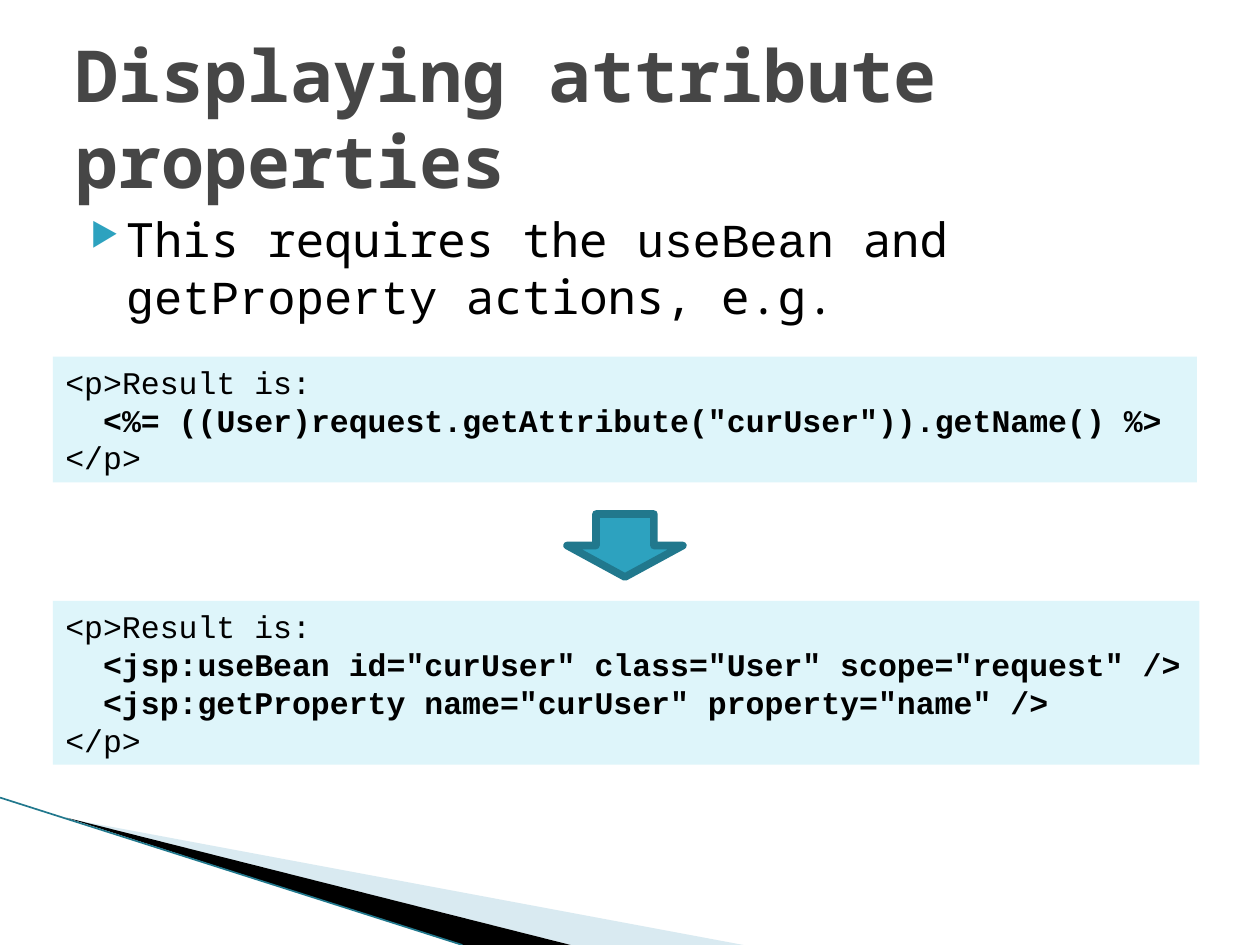
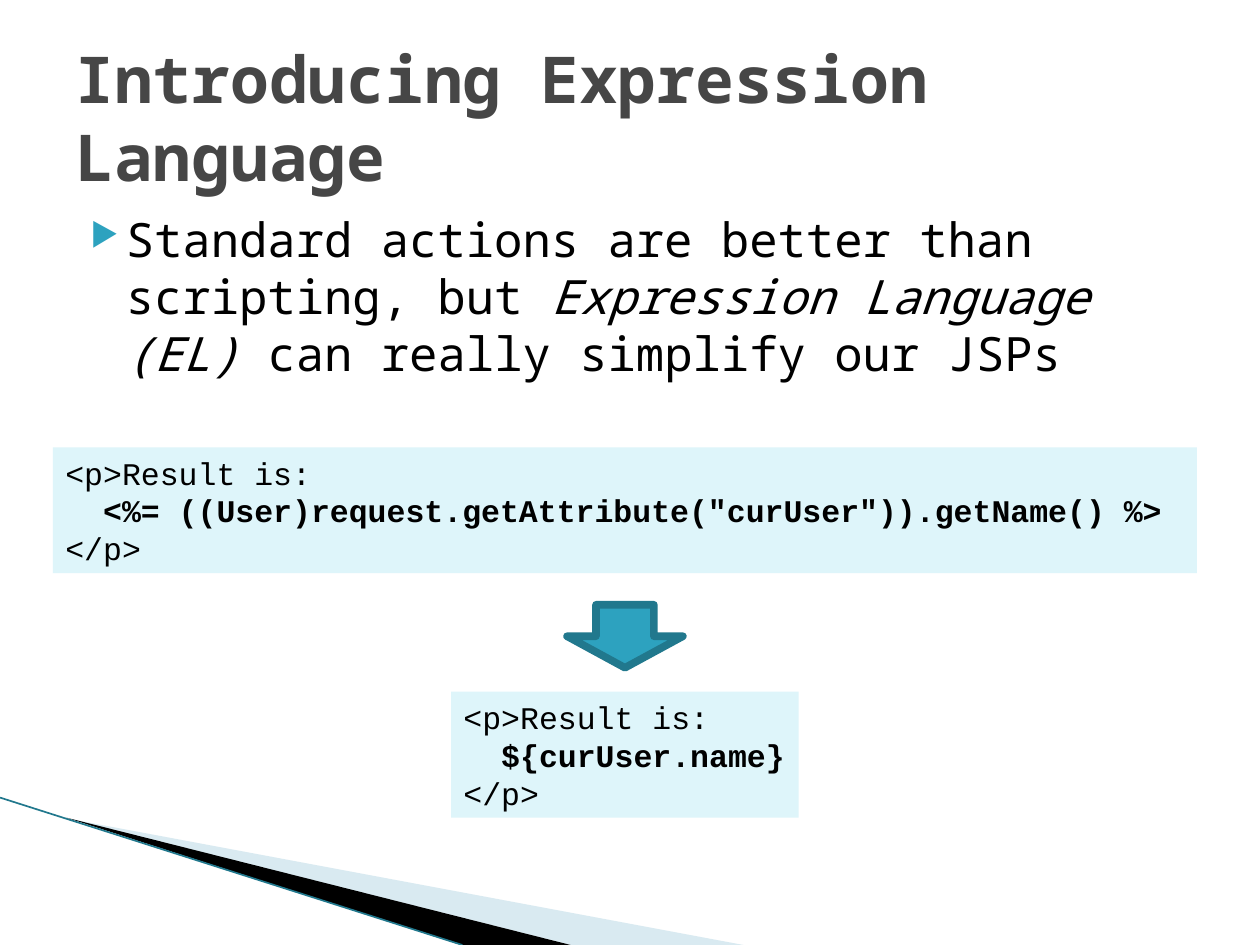
from dataclasses import dataclass

from lxml import etree
from pptx import Presentation
from pptx import util as u
from pptx.dml.color import RGBColor
from pptx.enum import shapes, text
from pptx.oxml import ns


@dataclass(frozen=True)
class Theme:
    """Colours, fonts and type sizes of the deck."""
    ink: str = "000000"
    title: str = "464646"
    accent: str = "2DA2BF"
    accent_dark: str = "21788D"
    panel: str = "DEF5FA"
    wedge: str = "A0CBDC"
    wedge_opacity: int = 40
    text_font: str = "Noto Sans Mono"
    code_font: str = "Courier New"
    body_size: float = 27
    code_size: float = 18


THEME = Theme()
CODE_LEFT = 0.42
CODE_LINE = 0.3
SCRIPTLET = [
    "<p>Result is:",
    '  <%= ((User)request.getAttribute("curUser")).getName() %>',
    "</p>",
]


def add_child(parent, tag, **attributes):
    """Append a drawing element to an XML parent."""
    return etree.SubElement(parent, ns.qn(tag), attributes)


def fill_solid(shape, colour):
    """Give a shape a plain fill without shadow or outline."""
    shape.shadow.inherit = False
    shape.fill.solid()
    shape.fill.fore_color.rgb = RGBColor.from_string(colour)
    shape.line.fill.background()


def set_font(font, name, size, colour, bold=False):
    """Set the main properties of a font."""
    font.name = name
    font.size = u.Pt(size)
    font.bold = bold
    font.color.rgb = RGBColor.from_string(colour)


def add_wedge(page, points, colour, opacity=100):
    """Draw a filled polygon through points given in inches."""
    corners = [(u.Inches(x), u.Inches(y)) for x, y in points]
    builder = page.shapes.build_freeform(*corners[0])
    builder.add_line_segments(corners[1:])
    wedge = builder.convert_to_shape()
    fill_solid(wedge, colour)
    if opacity < 100:
        tint = wedge.fill._xPr.find(".//" + ns.qn("a:srgbClr"))
        add_child(tint, "a:alpha", val=str(opacity * 1000))


def add_corner_bands(page):
    """Draw the slanted bands at the lower left."""
    add_wedge(page, [(0.55, 6.5), (5.9, 7.5), (4.53, 7.5)],
              THEME.wedge, THEME.wedge_opacity)
    add_wedge(page, [(0.53, 6.49), (4.53, 7.5), (3.66, 7.5)], THEME.ink)
    edge = page.shapes.add_connector(
        shapes.MSO_CONNECTOR.STRAIGHT,
        u.Inches(0), u.Inches(6.33), u.Inches(3.67), u.Inches(7.5))
    edge.line.color.rgb = RGBColor.from_string(THEME.accent_dark)
    edge.line.width = u.Pt(0.95)
    add_child(edge._element.spPr, "a:effectLst")


def add_text_box(page, top, height):
    """Add a wrapping text box across the content width."""
    box = page.shapes.add_textbox(
        u.Inches(0.5), u.Inches(top), u.Inches(9), u.Inches(height))
    box.text_frame.word_wrap = True
    return box


def add_title(page, title, size):
    """Add the slide title."""
    box = add_text_box(page, 0.3, 1.25)
    box.text_frame.vertical_anchor = text.MSO_ANCHOR.MIDDLE
    para = box.text_frame.paragraphs[0]
    para.text = title
    set_font(para.font, THEME.text_font, size, THEME.title, bold=True)


def add_bullet(page, spans):
    """Add a bulleted statement from (words, style) spans."""
    para = add_text_box(page, 1.62, 4.95).text_frame.paragraphs[0]
    props = para._p.get_or_add_pPr()
    props.set("marL", str(u.Inches(0.4)))
    props.set("indent", str(u.Inches(-0.28)))
    add_child(add_child(props, "a:buClr"), "a:srgbClr", val=THEME.accent)
    add_child(props, "a:buSzPct", val="68000")
    add_child(props, "a:buChar", char="▶")
    set_font(para.font, THEME.text_font, THEME.body_size, THEME.ink)
    for words, style in spans:
        span = para.add_run()
        span.text = words
        if style == "code":
            span.font.name = THEME.code_font
        elif style == "italic":
            span.font.italic = True


def add_code(page, left, top, width, lines):
    """Add a code panel whose indented lines are bold."""
    panel = page.shapes.add_shape(
        shapes.MSO_SHAPE.RECTANGLE, u.Inches(left), u.Inches(top),
        u.Inches(width), u.Inches(0.1 + CODE_LINE * len(lines)))
    fill_solid(panel, THEME.panel)
    frame = panel.text_frame
    frame.word_wrap = True
    frame.margin_right = 0
    for index, line in enumerate(lines):
        para = frame.add_paragraph() if index else frame.paragraphs[0]
        para.text = line
        para.alignment = text.PP_ALIGN.LEFT
        set_font(para.font, THEME.code_font, THEME.code_size, THEME.ink,
                 bold=line.startswith(" "))


def add_down_arrow(page, top):
    """Add the arrow between two code panels."""
    arrow = page.shapes.add_shape(
        shapes.MSO_SHAPE.DOWN_ARROW,
        u.Inches(4.5), u.Inches(top), u.Inches(0.92), u.Inches(0.5))
    fill_solid(arrow, THEME.accent)
    arrow.line.color.rgb = RGBColor.from_string(THEME.accent_dark)
    arrow.line.width = u.Pt(4.33)


def add_rewrite(page, top, left, width, result):
    """Show the scriptlet, an arrow and the code that replaces it."""
    add_code(page, CODE_LEFT, top, 9.08, SCRIPTLET)
    add_down_arrow(page, top + 1.25)
    add_code(page, left, top + 1.94, width, result)


def add_page(deck, title, title_size, spans):
    """Add a slide with bands, title and bullet."""
    page = deck.slides.add_slide(deck.slide_layouts[6])
    add_corner_bands(page)
    add_bullet(page, spans)
    add_title(page, title, title_size)
    return page


def main():
    """Build and save the deck."""
    deck = Presentation()
    deck.slide_width, deck.slide_height = u.Inches(10), u.Inches(7.5)

    page = add_page(deck, "Displaying attribute properties", 41, [
        ("This requires the ", "plain"), ("useBean", "code"),
        (" and ", "plain"), ("getProperty", "code"),
        (" actions, e.g.", "plain")])
    add_rewrite(page, 2.83, CODE_LEFT, 9.1, [
        "<p>Result is:",
        '  <jsp:useBean id="curUser" class="User" scope="request" />',
        '  <jsp:getProperty name="curUser" property="name" />',
        "</p>"])

    page = add_page(deck, "Introducing Expression Language", 36.9, [
        ("Standard actions are better than scripting, but ", "plain"),
        ("Expression Language (EL) ", "italic"),
        ("can really simplify our JSPs", "plain")])
    add_rewrite(page, 3.55, 3.58, 2.76, [
        "<p>Result is:", "  ${curUser.name}", "</p>"])

    deck.save("out.pptx")


if __name__ == "__main__":
    main()
